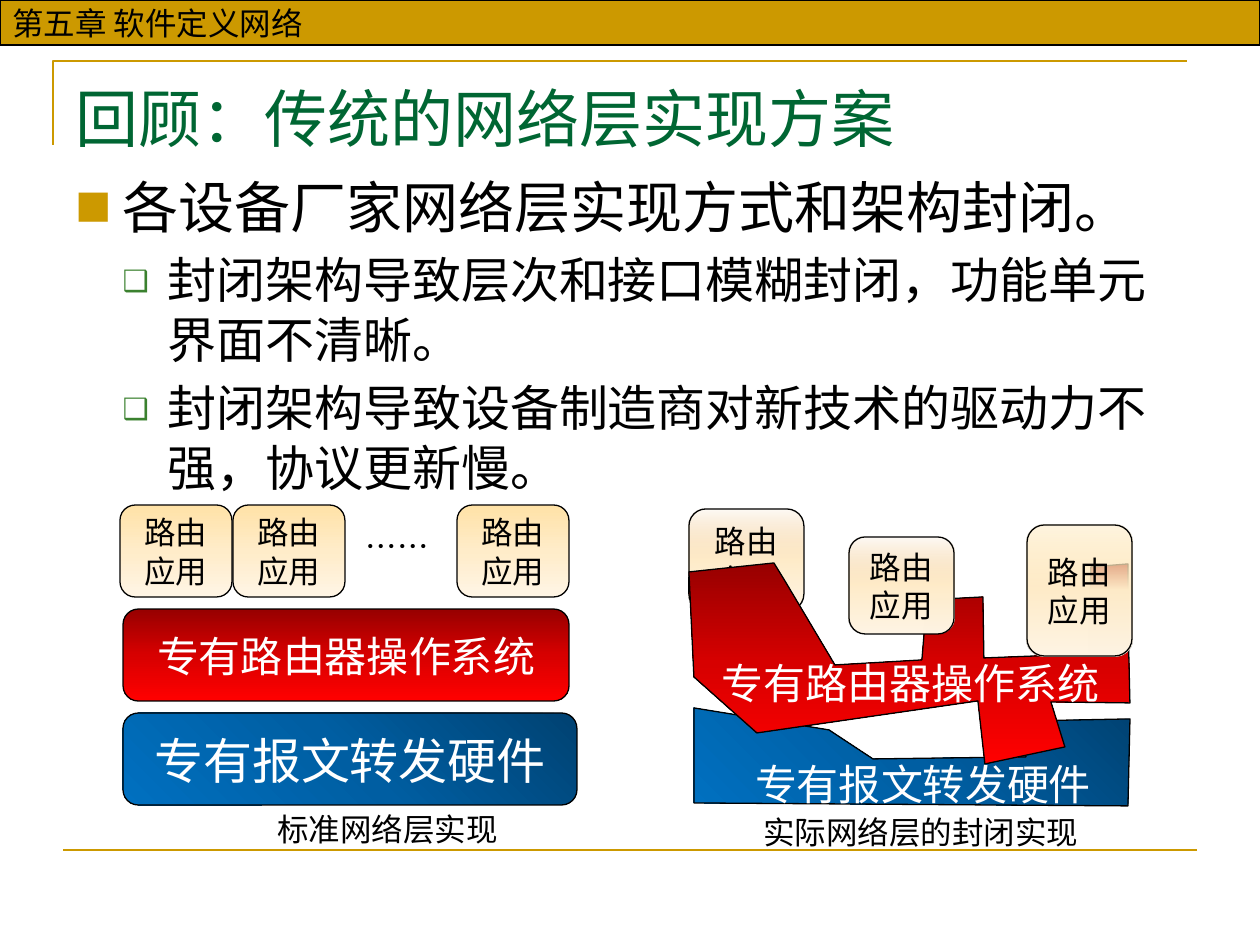
import pptx
import pptx.util
import pptx.oxml
import pptx.oxml.ns
import pptx.dml.color
import pptx.enum.text
import pptx.enum.shapes
import pptx.enum.lang

PX = 914400 / 126
NOTO = "Noto Sans CJK JP"
GOLD, BLACK, WHITE = "CC9900", "000000", "FFFFFF"
ALIGN = pptx.enum.text.PP_ALIGN
ANCHOR = pptx.enum.text.MSO_ANCHOR
SIZING = pptx.enum.text.MSO_AUTO_SIZE
SHAPE = pptx.enum.shapes.MSO_SHAPE

HEADER = "第五章 软件定义网络"
TITLE = "回顾：传统的网络层实现方案"
BODY = [
    (0, "各设备厂家网络层实现方式和架构封闭。"),
    (1, "封闭架构导致层次和接口模糊封闭，功能单元界面不清晰。"),
    (1, "封闭架构导致设备制造商对新技术的驱动力不强，协议更新慢。"),
]
LEVELS = [
    {"size": 32, "left": 47, "hang": 47, "char": "■", "color": GOLD, "pct": 65},
    {"size": 28, "left": 92, "hang": 45, "char": "❑", "color": "3B812F", "pct": 60},
]
APP, SYSTEM, HARDWARE = "路由应用", "专有路由器操作系统", "专有报文转发硬件"

BLUE = (135, [("004272", 100), ("005EA2", 100), ("0070C0", 100)])
RED = (90, [("970000", 100), ("D70000", 100), ("FF0000", 100)])
CREAM = (90, [("FFE2A7", 100), ("FFECC9", 100), ("FFF5E5", 100)])
PALE = (90, [("F1C386", 6), ("FFECC9", 100), ("FFF5E5", 100)])
HALF = (90, [("FFE2A7", 34), ("FFECC9", 100), ("FFF5E5", 100)])

HIDDEN_APP = ((689, 509, 115, 102), PALE, APP, 18, BLACK)
STANDARD_BOXES = [
    ((123, 713, 454, 92), HARDWARE, BLUE, 28, WHITE),
    ((123, 609, 446, 92), SYSTEM, RED, 24, WHITE),
] + [((x, 505, 112, 92), APP, CREAM, 18, BLACK) for x in (120, 233, 457)]
FRONT_APPS = [((849, 537, 105, 97), PALE), ((1027, 525, 105, 131), HALF)]
HARDWARE_OUTLINE = [(694, 708), (694, 803), (1128, 806), (1130, 719), (1026, 721),
                    (1026, 757), (873, 759), (829, 730)]
SYSTEM_OUTLINE = [(694, 677), (757, 733), (978, 701), (985, 764), (1065, 747),
                  (1051, 702), (1130, 703), (1128, 616), (1128, 564), (1091, 567),
                  (1089, 654), (984, 658), (983, 597), (927, 600), (922, 660),
                  (835, 665), (785, 581), (774, 563), (689, 572)]
CAPTIONS = [((353, 520, 89, 50), "……", ALIGN.CENTER),
            ((265, 803, 248, 50), "标准网络层实现", ALIGN.LEFT),
            ((751, 806, 344, 50), "实际网络层的封闭实现", ALIGN.LEFT)]


def emu(*values):
    return [round(v * PX) for v in values]


def rgb(value):
    return pptx.dml.color.RGBColor.from_string(value)


def element(xml):
    return pptx.oxml.parse_xml(xml.replace(" ", " " + pptx.oxml.ns.nsdecls("a") + " ", 1))


def apply(obj, **values):
    for name, value in values.items():
        setattr(obj, name, value)


def write(p, text, size, color, font=NOTO, align=ALIGN.LEFT, before=0):
    r = p.add_run()
    r.text = text
    apply(r.font, name=font, size=pptx.util.Pt(size), bold=False,
          language_id=pptx.enum.lang.MSO_LANGUAGE_ID.SIMPLIFIED_CHINESE)
    r.font.color.rgb = rgb(color)
    r._r.get_or_add_rPr().append(element(f'<a:ea typeface="{NOTO}"/>'))
    apply(p, alignment=align, line_spacing=pptx.util.Pt(round(size * 1.22, 1)),
          space_before=pptx.util.Pt(before), space_after=pptx.util.Pt(0))


def outline(s, color=BLACK, width=0.75):
    s.shadow.inherit = False
    s.line.color.rgb = rgb(color)
    s.line.width = pptx.util.Pt(width)


def shade(s, gradient):
    angle, colors = gradient
    s.fill.gradient()
    old = s._element.spPr.find(pptx.oxml.ns.qn("a:gradFill"))
    stops = "".join(f'<a:gs pos="{i * 50000}"><a:srgbClr val="{c}">'
                    f'<a:alpha val="{alpha * 1000}"/></a:srgbClr></a:gs>'
                    for i, (c, alpha) in enumerate(colors))
    new = element(f'<a:gradFill rotWithShape="1"><a:gsLst>{stops}</a:gsLst>'
                  f'<a:lin ang="{angle * 60000}" scaled="0"/></a:gradFill>')
    old.getparent().replace(old, new)


def add_box(shapes, place, text, gradient, size, color):
    s = shapes.add_shape(SHAPE.ROUNDED_RECTANGLE, *emu(*place))
    shade(s, gradient)
    outline(s)
    apply(s.text_frame, word_wrap=True, vertical_anchor=ANCHOR.MIDDLE)
    write(s.text_frame.paragraphs[0], text, size, color, align=ALIGN.CENTER)


def add_outline(shapes, points, close=True):
    points = [emu(*point) for point in points]
    builder = shapes.build_freeform(*points[0], scale=1.0)
    builder.add_line_segments(points[1:], close=close)
    return builder.convert_to_shape()


def add_block(shapes, points, gradient):
    s = add_outline(shapes, points)
    shade(s, gradient)
    outline(s)


def add_label(shapes, place, text, size, color, align):
    s = shapes.add_textbox(*emu(*place))
    apply(s.text_frame, word_wrap=False, auto_size=SIZING.SHAPE_TO_FIT_TEXT)
    write(s.text_frame.paragraphs[0], text, size, color, align=align)


def add_frame(shapes):
    s = add_outline(shapes, [(53, 145), (53, 61), (1187, 61)], close=False)
    s.fill.background()
    outline(s, GOLD, 1.5)
    s = shapes.add_connector(pptx.enum.shapes.MSO_CONNECTOR.STRAIGHT,
                             *emu(63, 850, 1197, 850))
    s.line.color.rgb = rgb(GOLD)
    s.line.width = pptx.util.Pt(1.5)
    s._element.spPr.append(element("<a:effectLst />"))
    s = shapes.add_shape(SHAPE.RECTANGLE, *emu(0, 0, 1260, 45))
    s.fill.solid()
    s.fill.fore_color.rgb = rgb(GOLD)
    outline(s)
    apply(s.text_frame, word_wrap=False, vertical_anchor=ANCHOR.MIDDLE)
    write(s.text_frame.paragraphs[0], HEADER, 18, BLACK, "Arial")


def fill_placeholder(s, place, anchor):
    apply(s, **dict(zip(("left", "top", "width", "height"), emu(*place))))
    apply(s.text_frame, word_wrap=True, auto_size=SIZING.NONE, vertical_anchor=anchor)
    return s.text_frame


def add_text(slide):
    tf = fill_placeholder(slide.shapes.title, (63, 68, 1134, 97), ANCHOR.MIDDLE)
    write(tf.paragraphs[0], TITLE, 36, "006633", "Calibri")
    tf = fill_placeholder(slide.placeholders[1], (63, 165, 1134, 655), ANCHOR.TOP)
    for i, (level, text) in enumerate(BODY):
        p = tf.add_paragraph() if i else tf.paragraphs[0]
        p.level = level
        style = LEVELS[level]
        pPr = p._p.get_or_add_pPr()
        left, hang = emu(style["left"], style["hang"])
        pPr.set("marL", str(left))
        pPr.set("indent", str(-hang))
        for xml in (f'<a:buClr ><a:srgbClr val="{style["color"]}"/></a:buClr>',
                    f'<a:buSzPct val="{style["pct"] * 1000}"/>',
                    f'<a:buFont typeface="{NOTO}"/>',
                    f'<a:buChar char="{style["char"]}"/>'):
            pPr.append(element(xml))
        write(p, text, style["size"], BLACK, before=5 if i else 0)


def main():
    prs = pptx.Presentation()
    prs.slide_width, prs.slide_height = emu(1260, 945)
    slide = prs.slides.add_slide(prs.slide_layouts[1])
    shapes = slide.shapes
    add_frame(shapes)
    place, gradient, *text = HIDDEN_APP
    add_box(shapes, place, text[0], gradient, *text[1:])
    add_text(slide)
    for box in STANDARD_BOXES:
        add_box(shapes, *box)
    add_block(shapes, HARDWARE_OUTLINE, BLUE)
    add_label(shapes, (741, 751, 364, 63), HARDWARE, 24, WHITE, ALIGN.CENTER)
    add_block(shapes, SYSTEM_OUTLINE, RED)
    add_label(shapes, (707, 650, 407, 63), SYSTEM, 24, WHITE, ALIGN.CENTER)
    for place, gradient in FRONT_APPS:
        add_box(shapes, place, APP, gradient, 18, BLACK)
    for place, text, align in CAPTIONS:
        add_label(shapes, place, text, 18, BLACK, align)
    prs.save("out.pptx")


if __name__ == "__main__":
    main()
